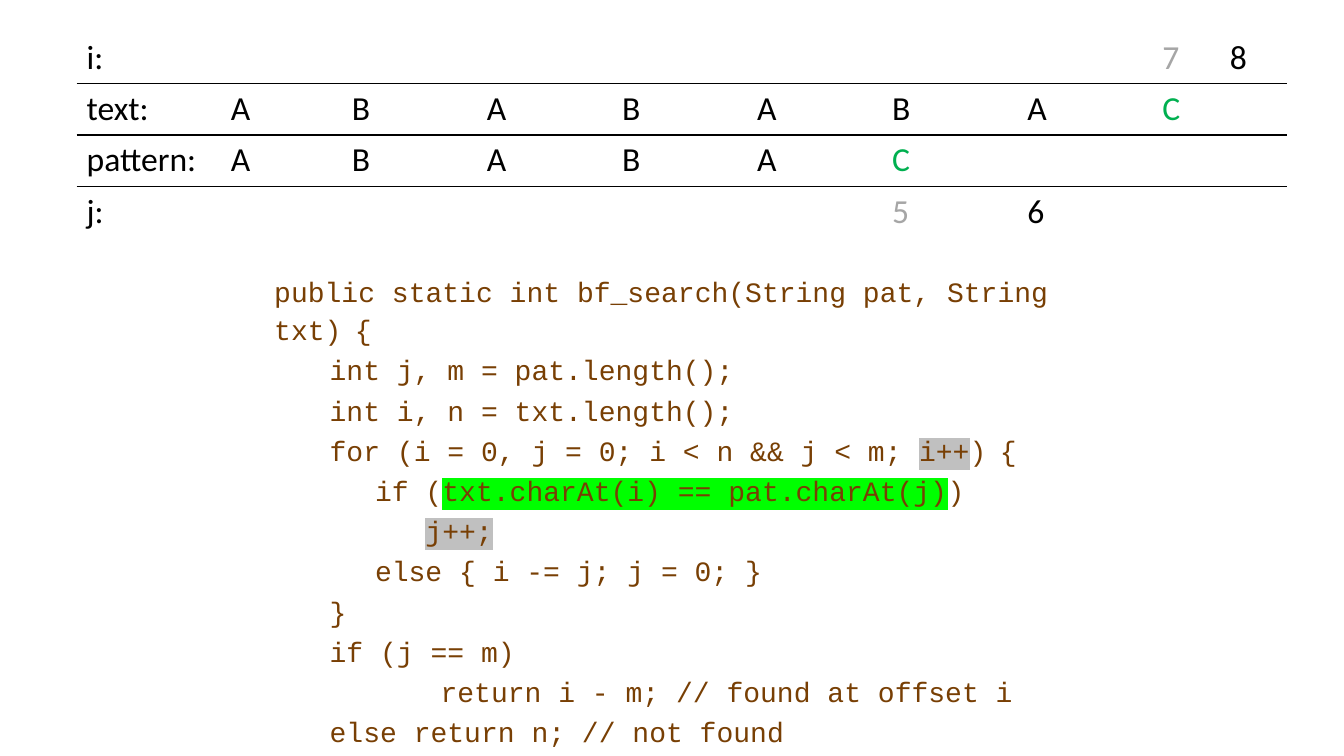
from lxml import etree
from pptx import Presentation
from pptx.dml.color import RGBColor
from pptx.oxml.ns import qn
from pptx.util import Inches, Pt

# Content
BLACK, GRAY, GREEN, BROWN = "000000", "A6A6A6", "00B050", "783F04"
SILVER_MARK, GREEN_MARK = "C0C0C0", "00FF00"

COLUMN_WIDTHS = [1.43, 1.2] + [1.34] * 6 + [0.67] * 2
ROW_HEIGHT = 0.51
TRACE = [  # row label, then {column: (value, colour)}
    ("i:", {8: ("7", GRAY), 9: ("8", BLACK)}),
    ("text:", {**{c: (v, BLACK) for c, v in enumerate("ABABABA", 1)}, 8: ("C", GREEN)}),
    ("pattern:", {**{c: (v, BLACK) for c, v in enumerate("ABABA", 1)}, 6: ("C", GREEN)}),
    ("j:", {6: ("5", GRAY), 7: ("6", BLACK)}),
]

# Each line: left margin, first-line indent, runs of (text, size, highlight)
BODY = (0, 0.55)
CODE = [
    (0, 0, [("public static int bf_search(String pat, String txt)", 20, None),
            (" ", 16, None), ("{", 20, None)]),
    (*BODY, [("int j, m = pat.length();", 20, None)]),
    (*BODY, [("int i, n = txt.length();", 20, None)]),
    (*BODY, [("for (i = 0, j = 0; i < n && j < m; ", 20, None), ("i++", 20, SILVER_MARK),
             (")", 20, None), (" ", 16, None), ("{", 20, None)]),
    (*BODY, [("\t", 16, None), ("if (", 20, None),
             ("txt.charAt(i) == pat.charAt(j)", 20, GREEN_MARK), (")", 20, None)]),
    (*BODY, [("\t\t", 20, None), ("j++;", 20, SILVER_MARK)]),
    (*BODY, [("\telse { i -= j; j = 0; }", 20, None)]),
    (*BODY, [("}", 20, None)]),
    (*BODY, [("if (j == m)", 20, None)]),
    (1.1, 0.55, [("return i - m; // found at offset i", 20, None)]),
    (*BODY, [("else return n; // not found", 20, None)]),
    (0, 0.01, [("}", 20, None)]),
]
TAB_STOPS = (1, 2)
NO_STYLE_NO_GRID = "{2D5ABB26-0587-4C30-8999-92F81FD0307C}"


def color(value):
    return RGBColor.from_string(value)


def add_run(paragraph, text, font_name, size, value):
    run = paragraph.add_run()
    run.text = text
    run.font.name = font_name
    run.font.size = Pt(size)
    run.font.color.rgb = color(value)
    return run


def add_color(parent, tag, value):
    element = etree.SubElement(parent, qn(tag))
    etree.SubElement(element, qn("a:srgbClr"), val=value)
    return element


def highlight(run, value):
    properties = run.font._element
    mark = add_color(properties, "a:highlight", value)
    properties.find(qn("a:latin")).addprevious(mark)


def add_border(cell, tag):
    line = etree.SubElement(cell._tc.get_or_add_tcPr(), qn(tag), w=str(Pt(1)))
    add_color(line, "a:solidFill", BLACK)


def add_trace_table(slide):
    frame = slide.shapes.add_table(
        len(TRACE), len(COLUMN_WIDTHS), Inches(0.76), Inches(0.32),
        Inches(sum(COLUMN_WIDTHS)), Inches(ROW_HEIGHT * len(TRACE)))
    table = frame.table
    table.first_row = table.horz_banding = False
    table._tbl.tblPr.find(qn("a:tableStyleId")).text = NO_STYLE_NO_GRID
    for column, width in zip(table.columns, COLUMN_WIDTHS):
        column.width = Inches(width)
    for r, (label, values) in enumerate(TRACE):
        table.rows[r].height = Inches(ROW_HEIGHT)
        values = {0: (label, BLACK), **values}
        for c in range(len(COLUMN_WIDTHS)):
            cell = table.cell(r, c)
            # Rules only between the rows
            if r > 0:
                add_border(cell, "a:lnT")
            if r < len(TRACE) - 1:
                add_border(cell, "a:lnB")
            cell.fill.background()
            if c in values:
                text, value = values[c]
                add_run(cell.text_frame.paragraphs[0], text, "Calibri", 24, value)


def add_code(slide):
    box = slide.shapes.add_textbox(Inches(2.61), Inches(2.56), Inches(8.31), Inches(4.94))
    frame = box.text_frame
    frame.word_wrap = True
    frame.margin_left = frame.margin_right = Inches(0.11)
    frame.margin_top = frame.margin_bottom = Inches(0.11)
    for number, (margin, indent, runs) in enumerate(CODE):
        paragraph = frame.add_paragraph() if number else frame.paragraphs[0]
        paragraph.line_spacing = 1.15
        if number:
            paragraph.space_before = Pt(1.1)
        properties = paragraph._p.get_or_add_pPr()
        properties.set("marL", str(Inches(margin)))
        properties.set("indent", str(Inches(indent)))
        if any("\t" in text for text, _, _ in runs):
            stops = etree.SubElement(properties, qn("a:tabLst"))
            for stop in TAB_STOPS:
                etree.SubElement(stops, qn("a:tab"), pos=str(Inches(stop)), algn="l")
        for text, size, mark in runs:
            run = add_run(paragraph, text, "Courier New", size, BROWN)
            if mark:
                highlight(run, mark)


def main():
    presentation = Presentation()
    presentation.slide_width = Inches(13.33)
    presentation.slide_height = Inches(7.5)
    slide = presentation.slides.add_slide(presentation.slide_layouts[6])
    add_code(slide)
    add_trace_table(slide)
    presentation.save("out.pptx")


if __name__ == "__main__":
    main()
